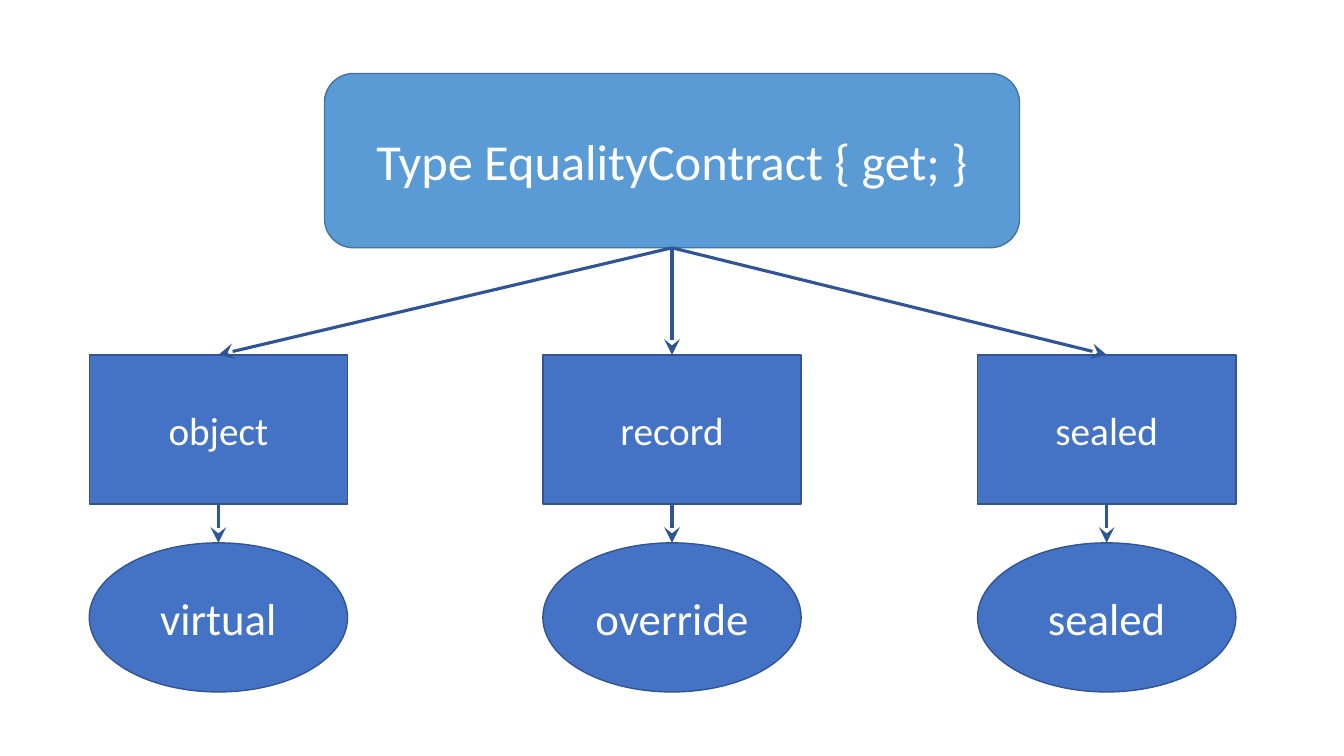
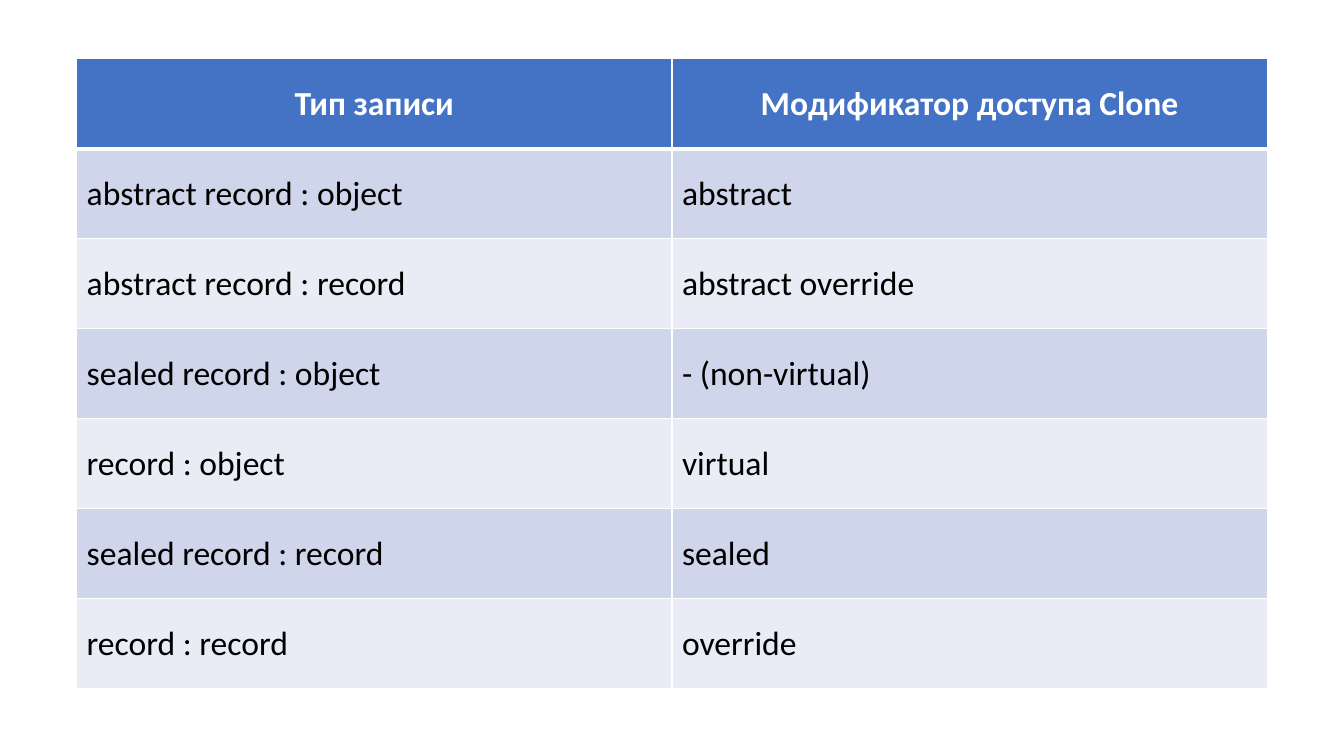
from lxml import etree
from pptx import Presentation
from pptx.dml.color import RGBColor
from pptx.enum.shapes import MSO_CONNECTOR, MSO_SHAPE
from pptx.enum.text import MSO_ANCHOR, PP_ALIGN
from pptx.oxml.ns import qn
from pptx.util import Pt

PX = 9525
FONT = "Calibri"
WHITE, BLACK = "FFFFFF", "000000"
BLUE, EDGE, ARROW = "4472C4", "325491", "2F5597"
SKY, SKY_EDGE = "5B9BD5", "43739E"
BANDS = "CFD5EA", "E9EBF5"
ROUND, RECT, OVAL = MSO_SHAPE.ROUNDED_RECTANGLE, MSO_SHAPE.RECTANGLE, MSO_SHAPE.OVAL
STRAIGHT = MSO_CONNECTOR.STRAIGHT
MIDDLE = MSO_ANCHOR.MIDDLE
LEFT, CENTER = PP_ALIGN.LEFT, PP_ALIGN.CENTER
TOP, BOTTOM = 0, 2  # connection sites

TREE = [(85, "object", "virtual"), (517, "record", "override"), (931, "sealed", "sealed")]
HEAD = ("Тип записи", "Модификатор доступа Clone")
ROWS = [
    ("abstract record : object", "abstract"),
    ("abstract record : record", "abstract override"),
    ("sealed record : object", "- (non-virtual)"),
    ("record : object", "virtual"),
    ("sealed record : record", "sealed"),
    ("record : record", "override"),
]


def px(*sizes):
    return [round(size * PX) for size in sizes]


def color(code):
    return RGBColor.from_string(code)


def paint(fill, code):
    fill.solid()
    fill.fore_color.rgb = color(code)


def write(frame, text, size, code, align=CENTER, bold=False):
    frame.text = text
    para = frame.paragraphs[0]
    para.alignment = align
    font = para.runs[0].font
    font.name, font.size, font.bold = FONT, Pt(size), bold
    font.color.rgb = color(code)


def node(slide, kind, box, text, size, fill=BLUE, edge=EDGE):
    shape = slide.shapes.add_shape(kind, *px(*box))
    shape.shadow.inherit = False
    paint(shape.fill, fill)
    shape.line.color.rgb = color(edge)
    shape.line.width = Pt(1)
    shape.text_frame.word_wrap = True
    shape.text_frame.vertical_anchor = MIDDLE
    write(shape.text_frame, text, size, WHITE)
    return shape


def arrow(slide, start, end):
    """Join the bottom of one node to the top of the next."""
    link = slide.shapes.add_connector(STRAIGHT, 0, 0, 0, 0)
    link.begin_connect(start, BOTTOM)
    link.end_connect(end, TOP)
    link.line.color.rgb = color(ARROW)
    link.line.width = Pt(2.25)
    props = link._element.spPr
    etree.SubElement(props.find(qn("a:ln")), qn("a:tailEnd"),
                     type="stealth", w="lg", len="lg")
    etree.SubElement(props, qn("a:effectLst"))


def border(cell, top, bottom):
    """Rule a cell in white; widths are in points."""
    props = cell._tc.get_or_add_tcPr()
    for side, width in zip("LRTB", (1, 1, top, bottom)):
        line = etree.SubElement(props, qn(f"a:ln{side}"), w=str(Pt(width)))
        fill = etree.SubElement(line, qn("a:solidFill"))
        etree.SubElement(fill, qn("a:srgbClr"), val=WHITE)


def draw_tree(slide, root_box, rect_top, oval_top, width, height):
    root = node(slide, ROUND, root_box, "Type EqualityContract { get; }", 36, SKY, SKY_EDGE)
    for left, base, access in TREE:
        rect = node(slide, RECT, (left, rect_top, width, height), base, 28)
        oval = node(slide, OVAL, (left, oval_top, width, height), access, 32)
        arrow(slide, root, rect)
        arrow(slide, rect, oval)


def draw_table(slide, box, rows, band):
    table = slide.shapes.add_table(len(rows), len(HEAD), *px(*box)).table
    table.first_row = rows[0] == HEAD
    for r, row in enumerate(rows):
        head = row == HEAD
        for c, text in enumerate(row):
            cell = table.cell(r, c)
            cell.vertical_anchor = MIDDLE
            border(cell, 3 if r else 1, 3 if head else 1)
            paint(cell.fill, BLUE if head else band)
            write(cell.text_frame, text, 24, WHITE if head else BLACK,
                  CENTER if head else LEFT, head)


def draw_stack(slide, left, top, width, height):
    """Stack one table per record type; the first also holds the heading."""
    step = height / (len(ROWS) + 1)
    for i, row in enumerate(ROWS):
        rows = [row] if i else [HEAD, row]
        tall = step * len(rows)
        draw_table(slide, (left, top, width, tall), rows, BANDS[i % 2])
        top += tall


def main():
    deck = Presentation()
    deck.slide_width, deck.slide_height = px(1280, 720)
    blank = deck.slide_layouts[6]
    draw_tree(deck.slides.add_slide(blank), (309, 70, 662, 166), 338, 517, 246, 142)
    draw_stack(deck.slides.add_slide(blank), 73, 56, 1134, 600)
    deck.save("out.pptx")


if __name__ == "__main__":
    main()
